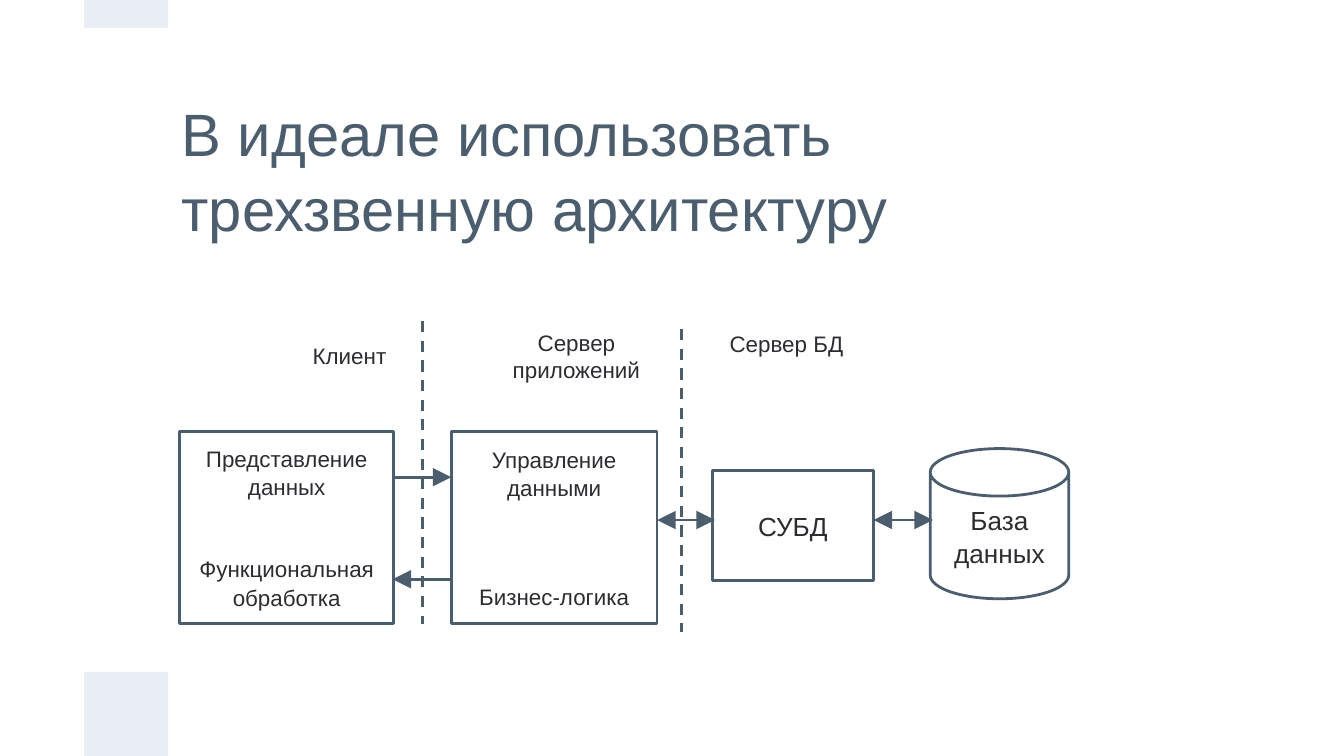
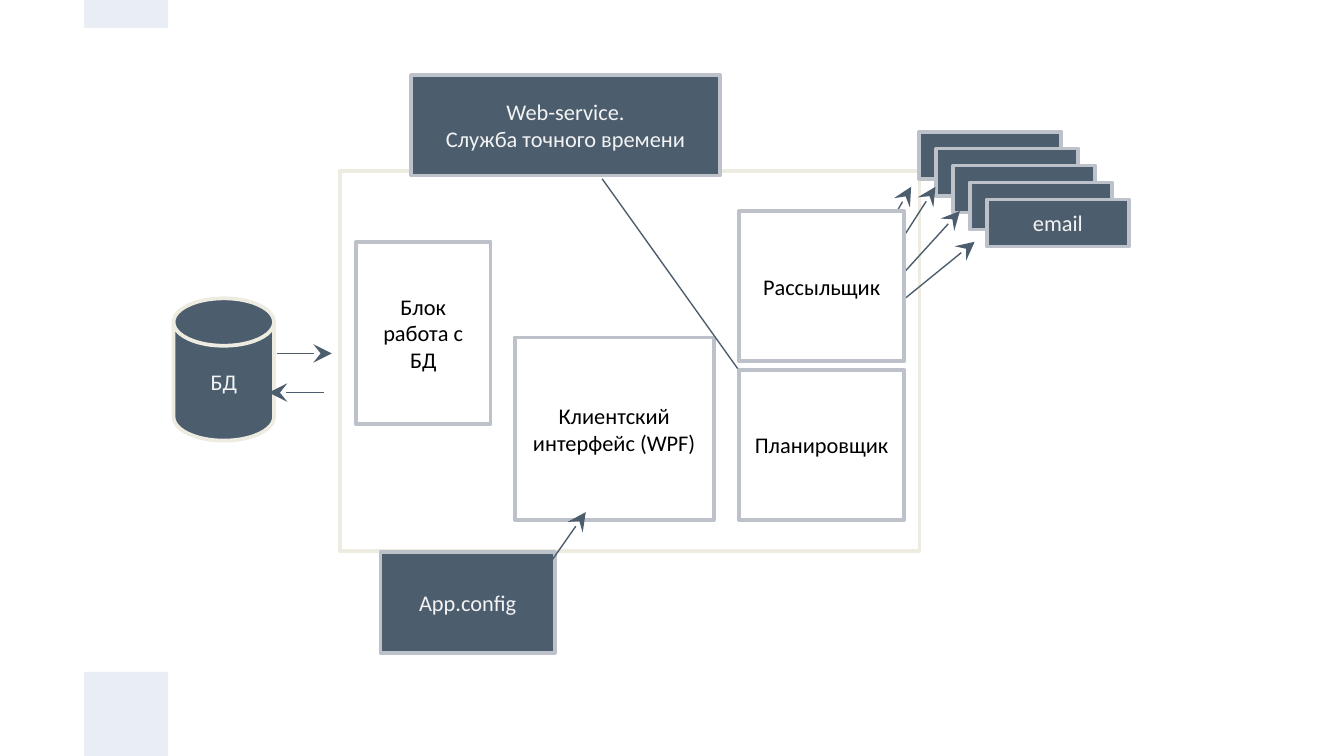
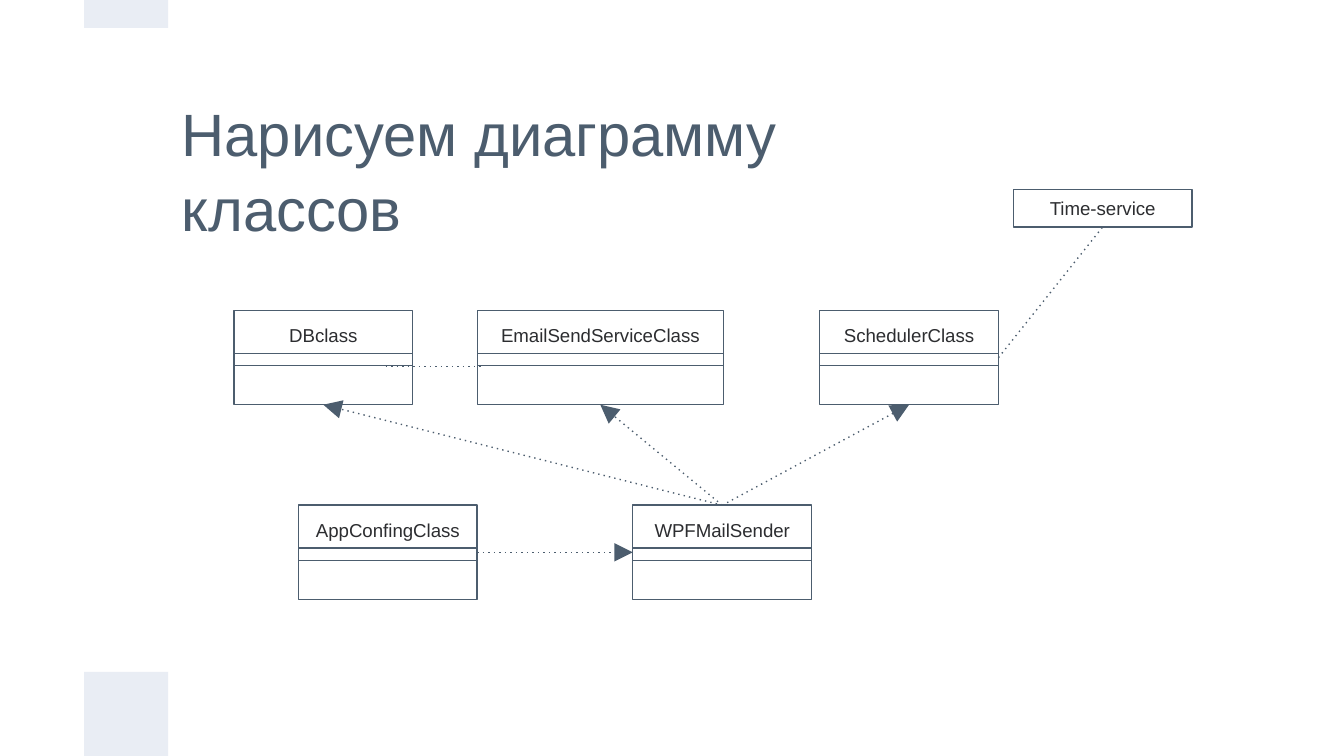
from dataclasses import dataclass

from lxml import etree
from pptx import Presentation
from pptx import util as u
from pptx.dml.color import RGBColor
from pptx.enum import shapes, text
from pptx.oxml import ns

SLATE = RGBColor(0x4C, 0x5D, 0x6E)
INK = RGBColor(0x2C, 0x2D, 0x30)
BLACK = RGBColor(0, 0, 0)
WHITE = RGBColor(0xFF, 0xFF, 0xFF)
PALE = RGBColor(0xF3, 0xF3, 0xF3)
BAND = RGBColor(0xE9, 0xED, 0xF4)
SILVER = RGBColor(0xBD, 0xC2, 0xCA)
IVORY = RGBColor(0xEE, 0xEC, 0xE1)

RECTANGLE = shapes.MSO_SHAPE.RECTANGLE
CENTER = text.PP_ALIGN.CENTER
LEFT = text.PP_ALIGN.LEFT
MIDDLE = text.MSO_ANCHOR.MIDDLE
TOP = text.MSO_ANCHOR.TOP
TITLE_ONLY, BLANK = 5, 6
ABOVE, BELOW, RIGHT_SIDE, LEFT_SIDE = 0, 2, 3, 1


@dataclass(frozen=True)
class TextStyle:
    """Typography of one kind of text."""
    font: str
    size: float
    color: RGBColor
    align: int = CENTER
    anchor: int = MIDDLE
    inset: float = 0.25
    spacing: float = 1.0


@dataclass(frozen=True)
class BoxStyle:
    """Fill, outline and typography of one kind of box."""
    fill: RGBColor
    line: RGBColor
    width: float
    text: TextStyle


TITLE = TextStyle("Arial", 32, SLATE, align=LEFT, spacing=1.05)
LABEL = TextStyle("Arial", 12, INK, anchor=TOP)
LEFT_LABEL = TextStyle("Arial", 12, INK, align=LEFT, anchor=TOP)
TIER = BoxStyle(None, SLATE, 1.5, TextStyle("Arial", 12, INK, spacing=1.05))
STORAGE = BoxStyle(None, SLATE, 1.5, TextStyle("Arial", 14, INK, spacing=1.05))
DARK_TEXT = TextStyle("Calibri", 12, PALE, inset=0.13)
MODULE = BoxStyle(WHITE, SILVER, 2, TextStyle("Calibri", 12, BLACK, inset=0.13))
EXTERNAL = BoxStyle(SLATE, SILVER, 2, DARK_TEXT)
DISK = BoxStyle(SLATE, IVORY, 2, DARK_TEXT)
FRAME = BoxStyle(WHITE, IVORY, 2, DARK_TEXT)
SERVICE = BoxStyle(None, SLATE, 0.75, TextStyle("Arial", 10, INK))
CLASS = BoxStyle(None, SLATE, 0.75, TextStyle("Arial", 10, INK, anchor=TOP))


def lengths(values):
    """Convert centimetres to slide lengths."""
    return [u.Cm(value) for value in values]


def write(shape, words, style):
    """Put styled text into a shape."""
    frame = shape.text_frame
    frame.text = words
    frame.word_wrap = True
    frame.auto_size = text.MSO_AUTO_SIZE.NONE
    frame.vertical_anchor = style.anchor
    frame.margin_left = frame.margin_right = u.Cm(0.25)
    frame.margin_top = frame.margin_bottom = u.Cm(style.inset)
    for paragraph in frame.paragraphs:
        paragraph.alignment = style.align
        paragraph.line_spacing = style.spacing
        for run in paragraph.runs:
            run.font.name = style.font
            run.font.size = u.Pt(style.size)
            run.font.color.rgb = style.color


def add_box(slide, place, words, style, kind=RECTANGLE, gap=0):
    """Add a preset shape; gap is the space in points before later paragraphs."""
    shape = slide.shapes.add_shape(kind, *lengths(place))
    shape.shadow.inherit = False
    if style.fill is None:
        shape.fill.background()
    else:
        shape.fill.solid()
        shape.fill.fore_color.rgb = style.fill
    shape.line.color.rgb = style.line
    shape.line.width = u.Pt(style.width)
    if words:
        write(shape, words, style.text)
        for paragraph in shape.text_frame.paragraphs[1:]:
            paragraph.space_before = u.Pt(gap)
    return shape


def add_label(slide, place, words, style=LABEL):
    """Add a text box."""
    write(slide.shapes.add_textbox(*lengths(place)), words, style)


def add_line(target, points, width=0.75, dash=None, head=None, tail=None):
    """Add a straight line with optional dash and arrowheads."""
    line = target.shapes.add_connector(shapes.MSO_CONNECTOR.STRAIGHT, *lengths(points))
    line.line.color.rgb = SLATE
    line.line.width = u.Pt(width)
    properties = line.element.spPr
    outline = properties.get_or_add_ln()
    if dash:
        etree.SubElement(outline, ns.qn("a:prstDash"), val=dash)
    for tag, arrow in (("a:headEnd", head), ("a:tailEnd", tail)):
        if arrow:
            etree.SubElement(outline, ns.qn(tag), type=arrow, w="lg", len="lg")
    etree.SubElement(properties, ns.qn("a:effectLst"))
    return line


def link(slide, start, start_site, end, end_site, tail=None):
    """Join two boxes with a dotted line."""
    line = add_line(slide, (0, 0, 1, 1), dash="dot", tail=tail)
    line.begin_connect(start, start_site)
    line.end_connect(end, end_site)


def add_class(slide, left, top, name, width=3.38):
    """Add a class box with its two dividers."""
    shape = add_box(slide, (left, top, width, 1.78), name, CLASS)
    dividers = slide.shapes.add_group_shape()
    for offset in (0.81, 1.04):
        add_line(dividers, (left, top + offset, left + width, top + offset))
    return shape


def set_title(slide, words, width):
    """Place and format the slide title."""
    title = slide.shapes.title
    title.left, title.top, title.width, title.height = lengths((3.18, 1.59, width, 3.18))
    write(title, words, TITLE)


def add_master_bands(presentation, slide):
    """Draw the two bands and move them to the slide master."""
    tree = presentation.slide_master.shapes.element
    for number, (top, height) in enumerate(((12.7, 1.59), (0, 0.53))):
        band = slide.shapes.add_shape(RECTANGLE, *lengths((1.59, top, 1.59, height)))
        band.shadow.inherit = False
        band.fill.solid()
        band.fill.fore_color.rgb = BAND
        band.line.fill.background()
        band.element.nvSpPr.cNvPr.set("id", str(101 + number))
        tree.insert(2 + number, band.element)


def build_three_tiers(slide):
    """Three-tier architecture."""
    set_title(slide, "В идеале использовать трехзвенную архитектуру", 19.05)
    add_box(slide, (3.4, 8.15, 4.04, 3.63),
            "Представление данных\nФункциональная обработка", TIER, gap=29)
    add_box(slide, (8.53, 8.15, 3.89, 3.63),
            "Управление данными\nБизнес-логика", TIER, gap=43)
    add_box(slide, (13.46, 8.89, 3.05, 2.08), "СУБД", STORAGE)
    database = add_box(slide, (17.58, 8.48, 2.62, 2.84), "База данных", STORAGE,
                       shapes.MSO_SHAPE.CAN)
    database.adjustments[0] = 0.343
    for x, top in ((7.98, 6.07), (12.88, 6.22)):
        add_line(slide, (x, top, x, top + 5.72), 1.5, "dash")
    for left, right, y, head, tail in (
            (7.42, 8.53, 9.02, None, "triangle"),
            (7.42, 8.53, 10.95, "triangle", None),
            (12.42, 13.51, 9.83, "triangle", "triangle"),
            (16.51, 17.63, 9.83, "triangle", "triangle")):
        add_line(slide, (left, y, right, y), 1.5, head=head, tail=tail)
    add_label(slide, (5.66, 6.22, 2.18, 1.09), "Клиент", LEFT_LABEL)
    add_label(slide, (9.14, 5.97, 3.51, 0.99), "Сервер приложений")
    add_label(slide, (13.11, 5.99, 3.51, 0.99), "Сервер БД")


def build_modules(slide):
    """Application modules and external services."""
    add_box(slide, (3.28, 5.64, 1.9, 2.69), "БД", DISK,
            shapes.MSO_SHAPE.FLOWCHART_MAGNETIC_DISK)
    add_box(slide, (6.43, 3.23, 10.95, 7.19), "", FRAME)
    add_box(slide, (6.73, 4.57, 2.54, 3.45), "Блок работа с БД", MODULE)
    add_box(slide, (9.73, 6.38, 3.76, 3.45), "Клиентский интерфейс (WPF)", MODULE)
    add_box(slide, (7.19, 10.44, 3.3, 1.9), "App.config", EXTERNAL)
    add_box(slide, (7.77, 1.42, 5.84, 1.9),
            "Web-service.\nСлужба точного времени", EXTERNAL)
    for step in range(5):
        shift = 0.32 * step
        add_box(slide, (17.37 + shift, 2.49 + shift, 2.69, 0.89), "email", EXTERNAL)
    for points in (
            (5.23, 6.68, 6.27, 6.68), (6.12, 7.42, 5.08, 7.42),
            (16.18, 5.33, 17.22, 3.53), (16.33, 5.64, 17.68, 3.53),
            (16.64, 5.64, 18.14, 3.99), (16.76, 5.92, 18.42, 4.57),
            (11.38, 3.38, 14.5, 7.75), (10.34, 10.72, 11.07, 9.68)):
        add_line(slide, points, tail="stealth")
    for top, name in ((6.99, "Планировщик"), (3.99, "Рассыльщик")):
        add_box(slide, (13.97, top, 3.12, 2.84), name, MODULE)


def build_class_diagram(slide):
    """Class diagram."""
    set_title(slide, "Нарисуем диаграмму классов", 15.65)
    add_line(slide, (7.29, 6.93, 9.14, 6.93), dash="dot")
    upper, lower = 5.87, 9.55
    database = add_class(slide, 4.42, upper, "DBclass")
    email = add_class(slide, 9.02, upper, "EmailSendServiceClass", 4.65)
    scheduler = add_class(slide, 15.49, upper, "SchedulerClass")
    sender = add_class(slide, 11.96, lower, "WPFMailSender")
    config = add_class(slide, 5.64, lower, "AppConfingClass")
    clock = add_box(slide, (19.15, 3.58, 3.38, 0.71), "Time-service", SERVICE)
    link(slide, scheduler, RIGHT_SIDE, clock, BELOW)
    for target in (database, email, scheduler):
        link(slide, sender, ABOVE, target, BELOW, "triangle")
    link(slide, config, RIGHT_SIDE, sender, LEFT_SIDE, "triangle")


def main():
    """Build and save the presentation."""
    presentation = Presentation()
    presentation.slide_width, presentation.slide_height = lengths((25.4, 14.29))
    builders = ((TITLE_ONLY, build_three_tiers), (BLANK, build_modules),
                (TITLE_ONLY, build_class_diagram))
    for layout, build in builders:
        build(presentation.slides.add_slide(presentation.slide_layouts[layout]))
    add_master_bands(presentation, presentation.slides[0])
    presentation.save("out.pptx")


if __name__ == "__main__":
    main()
